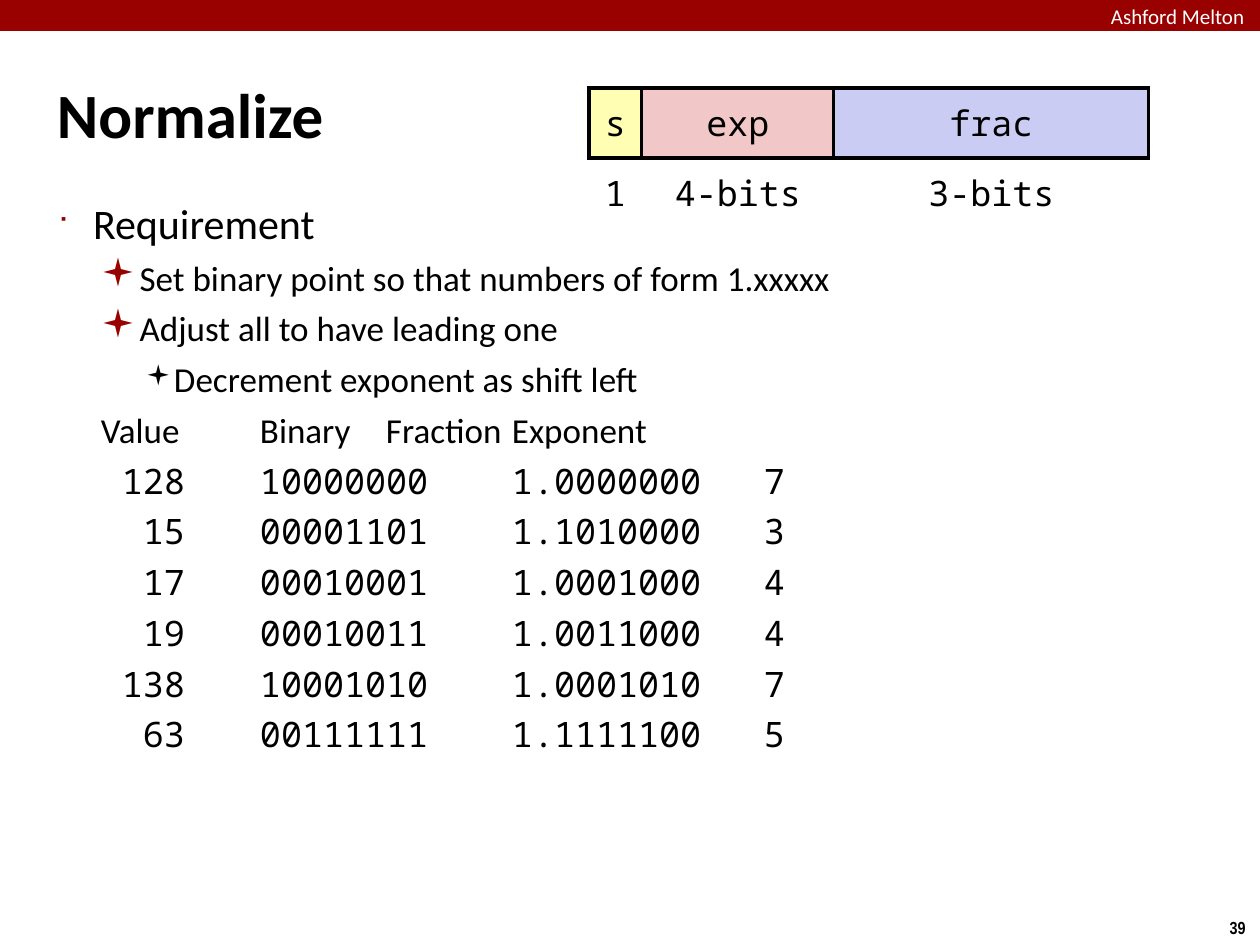
from lxml import etree
from pptx import Presentation
from pptx.dml.color import RGBColor
from pptx.enum.shapes import MSO_SHAPE
from pptx.enum.text import MSO_ANCHOR, PP_ALIGN
from pptx.oxml.ns import qn
from pptx.util import Emu, Pt

RECT = MSO_SHAPE.RECTANGLE
MIDDLE, TOP = MSO_ANCHOR.MIDDLE, MSO_ANCHOR.TOP
LEFT, CENTER = PP_ALIGN.LEFT, PP_ALIGN.CENTER
SANS, MONO, NARROW, SYMBOL = "Calibri", "Noto Sans Mono", "Arial Narrow", "Wingdings"
RED, BLACK, WHITE = "990000", "000000", "FFFFFF"
SCALE = 914400 / 126


def px(*values):
    return [Emu(round(v * SCALE)) for v in values]


def write(p, text, size=20, font=SANS, color=BLACK, bold=False, align=LEFT,
          before=0, margin=0, indent=0, bullet=None):
    p.alignment = align
    p.space_before = Pt(before)
    r = p.add_run()
    r.text = text
    r.font.size, r.font.name, r.font.bold = Pt(size), font, bold
    r.font.color.rgb = RGBColor.from_string(color)
    pPr = p._p.get_or_add_pPr()
    for key, value in zip(("marL", "indent", "defTabSz"), px(margin, indent, 126)):
        pPr.set(key, str(int(value)))
    if bullet:
        char, bullet_color, percent = bullet
        clr = etree.SubElement(pPr, qn("a:buClr"))
        etree.SubElement(clr, qn("a:srgbClr"), val=bullet_color)
        etree.SubElement(pPr, qn("a:buSzPct"), val=str(percent * 1000))
        etree.SubElement(pPr, qn("a:buFont"), typeface=SYMBOL, charset="2")
        etree.SubElement(pPr, qn("a:buChar"), char=char)


prs = Presentation()
prs.slide_width, prs.slide_height = px(1260, 945)
s = prs.slides.add_slide(prs.slide_layouts[6])

bar = s.shapes.add_shape(RECT, *px(0, 0, 1261, 31))
bar.shadow.inherit = False
bar.fill.solid()
bar.fill.fore_color.rgb = RGBColor.from_string(RED)
bar.line.fill.background()

boxes = []
for area, inset, anchor, wrap in [
    ((1216, 911, 43, 34), (13, 6), TOP, False),
    ((1111, 4, 181, 24), (0, 0), TOP, True),
    ((52, 34, 1155, 158), (5, 5), MIDDLE, True),
    ((53, 192, 1155, 748), (5, 5), TOP, True),
]:
    tf = s.shapes.add_textbox(*px(*area)).text_frame
    tf.margin_left, tf.margin_top = tf.margin_right, tf.margin_bottom = px(*inset)
    tf.vertical_anchor = anchor
    tf.word_wrap = wrap
    boxes.append(tf)
number, school, title, body = boxes

write(number.paragraphs[0], "39", size=10, font=NARROW, bold=True, align=CENTER)
write(school.paragraphs[0], "Ashford Melton", size=12, color=WHITE)
write(title.paragraphs[0], "Normalize", size=36, bold=True)

write(body.paragraphs[0], "Requirement", size=24, before=6, margin=35, indent=-35,
      bullet=("■", RED, 60))
level_2 = dict(before=5, margin=76, indent=-33)
level_3 = dict(before=5, margin=116, indent=-28)
red_square, black_square = ("▪", RED, 110), ("▪", BLACK, 80)
for text, level, bullet in [
    ("Set binary point so that numbers of form 1.xxxxx", level_2, red_square),
    ("Adjust all to have leading one", level_2, red_square),
    ("Decrement exponent as shift left", level_3, black_square),
    ("Value\tBinary\tFraction\tExponent", level_2, None),
]:
    write(body.add_paragraph(), text, bullet=bullet, **level)

CHAR = 21
for value, binary, fraction, exponent in [
    ("128", "10000000", "1.0000000", "7"),
    ("15", "00001101", "1.1010000", "3"),
    ("17", "00010001", "1.0001000", "4"),
    ("19", "00010011", "1.0011000", "4"),
    ("138", "10001010", "1.0001010", "7"),
    ("63", "00111111", "1.1111100", "5"),
]:
    write(body.add_paragraph(), "\t".join([value, binary, fraction, exponent]),
          font=MONO, before=5, margin=76, indent=CHAR * (4 - len(value)) - 33)

fields = [("s", "1", "FFFEB2", 53), ("exp", "4-bits", "F1C7C7", 192),
          ("frac", "3-bits", "CBCCF3", 315)]
table = s.shapes.add_table(2, 3, *px(589, 88, 560, 140)).table
table.first_row = table.horz_banding = False
for row in table.rows:
    row.height = px(70)[0]
for col, (name, bits, fill, width) in enumerate(fields):
    table.columns[col].width = px(width)[0]
    for row, text in enumerate([name, bits]):
        cell = table.cell(row, col)
        cell.margin_left = cell.margin_right = px(8)[0]
        cell.margin_top = cell.margin_bottom = px(8)[0]
        cell.vertical_anchor = MIDDLE
        write(cell.text_frame.paragraphs[0], text, font=MONO, align=CENTER)
        tcPr = cell._tc.get_or_add_tcPr()
        for side in ("lnL", "lnR", "lnT", "lnB"):
            ln = etree.SubElement(tcPr, qn("a:" + side), w=str(int(Pt(2))))
            if row == 0 or side == "lnT":
                line = etree.SubElement(ln, qn("a:solidFill"))
                etree.SubElement(line, qn("a:srgbClr"), val=BLACK)
            else:
                etree.SubElement(ln, qn("a:noFill"))
        if row == 0:
            cell.fill.solid()
            cell.fill.fore_color.rgb = RGBColor.from_string(fill)
        else:
            cell.fill.background()

prs.save("out.pptx")
